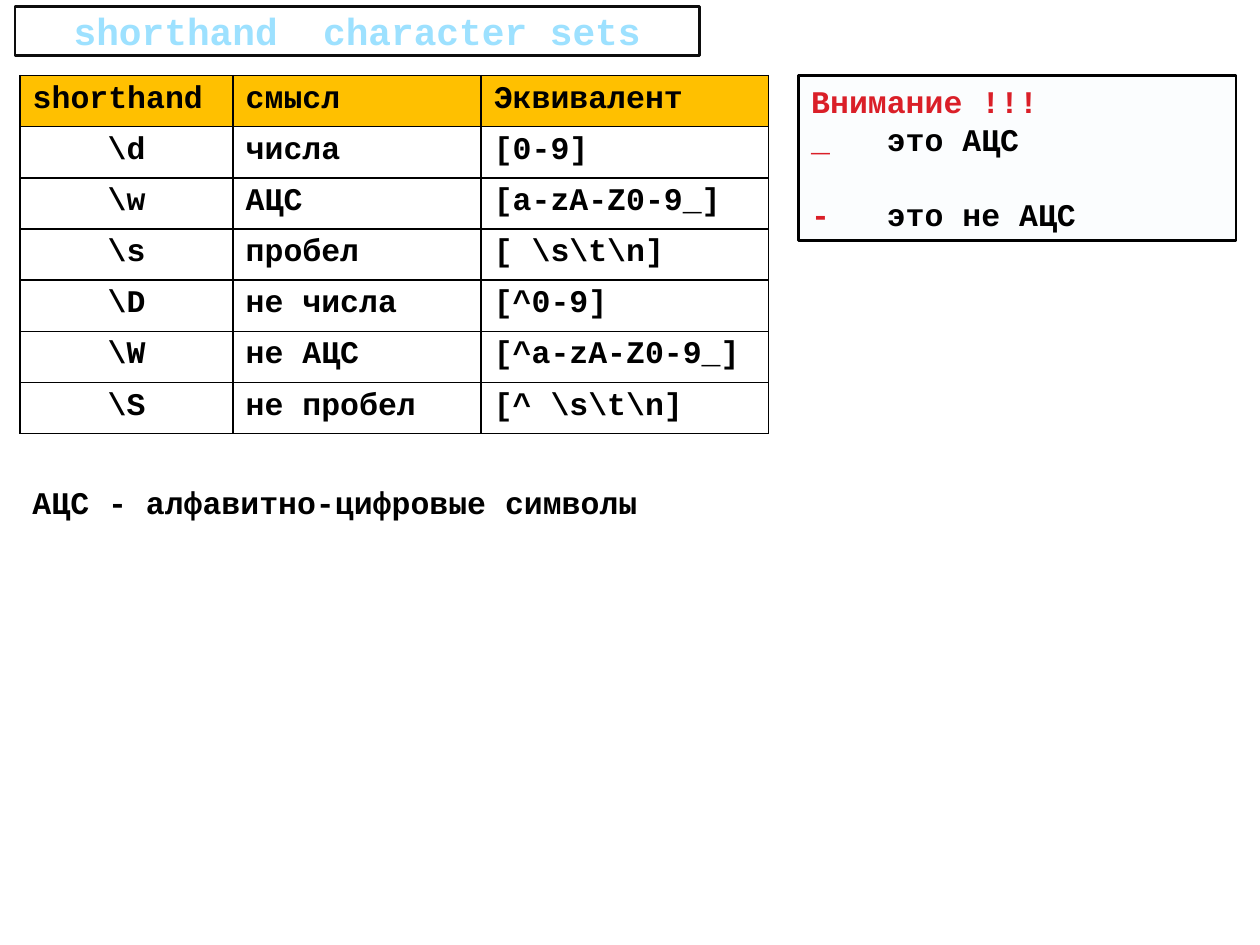
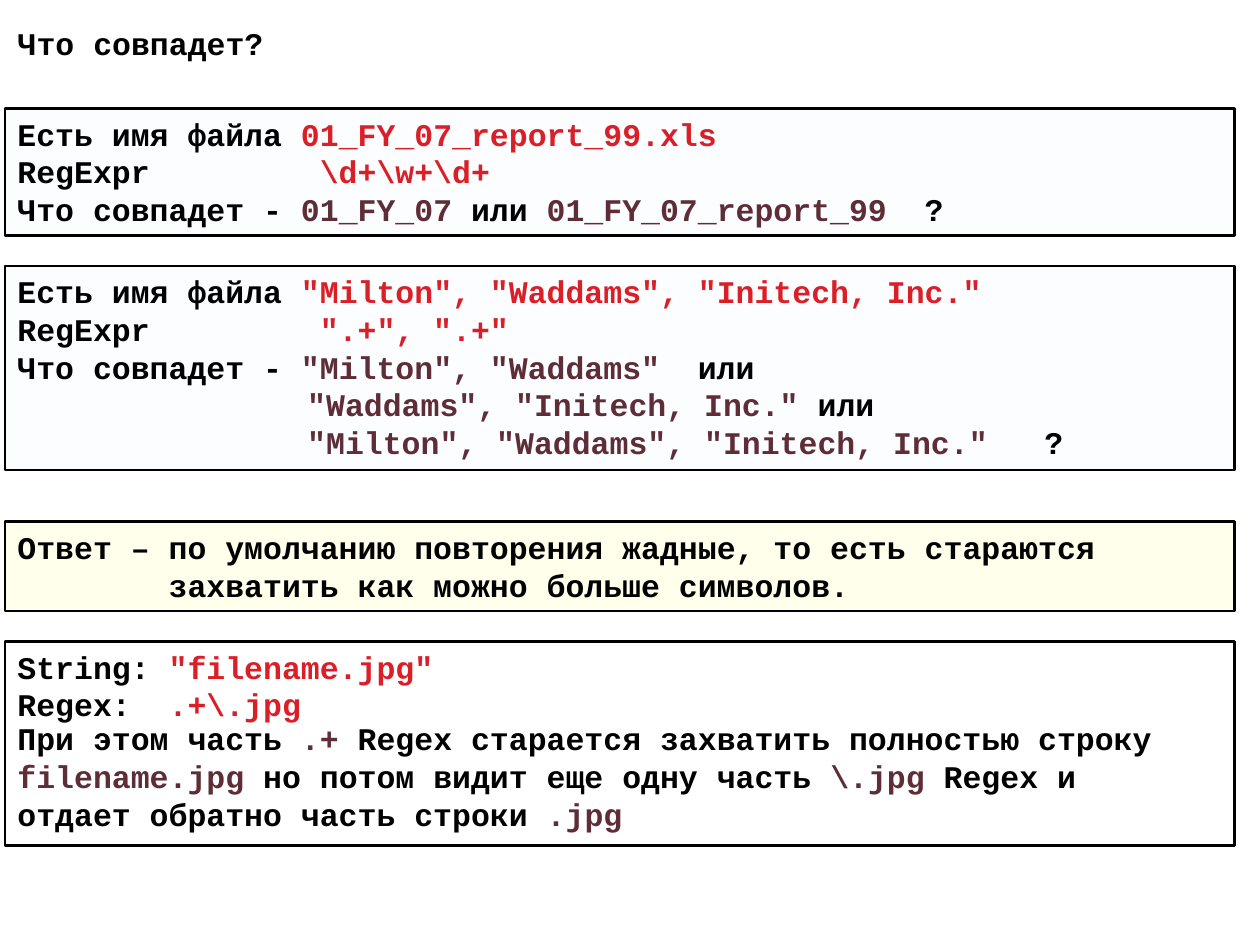
from pptx import Presentation
from pptx.dml.color import RGBColor
from pptx.enum.shapes import MSO_SHAPE as Shape
from pptx.enum.text import MSO_ANCHOR as Anchor, MSO_AUTO_SIZE as Auto, PP_ALIGN as Align
from pptx.oxml.ns import qn
from pptx.util import Pt
from lxml.etree import SubElement as Sub

FONT, SIZE = "Courier New", 18
CHAR = 0.6 * SIZE  # advance of one monospaced character
BLACK, RED, PLUM, SKY = "000000", "DA1F28", "5E2D37", "9DE1FF"
GOLD, WHITE, ICE, LEMON = "FFC000", "FFFFFF", "D3EEF5", "FFFF00"
TINT = 8  # opacity of the box tints, percent
HANG = 144 + 2 * CHAR  # start of the further candidate matches


def color(code):
    """Turn a hex string into a colour."""
    return RGBColor.from_string(code)


def paint(item, code, alpha=100):
    """Fill a shape or cell; no code means no fill."""
    if code is None:
        item.fill.background()
        return
    item.fill.solid()
    item.fill.fore_color.rgb = color(code)
    if alpha < 100:
        tone = item._element.spPr.find(".//" + qn("a:srgbClr"))
        Sub(tone, qn("a:alpha")).set("val", str(alpha * 1000))


def add_run(para, text, code=BLACK, size=SIZE):
    """Add one bold run and return it."""
    run = para.add_run()
    run.text = text
    font = run.font
    font.name, font.size, font.bold = FONT, Pt(size), True
    font.color.rgb = color(code)
    return run


def set_tabs(para, stops):
    """Set left tab stops, in points."""
    tabs = Sub(para._p.get_or_add_pPr(), qn("a:tabLst"))
    for stop in stops:
        tab = Sub(tabs, qn("a:tab"))
        tab.set("pos", str(int(Pt(stop))))
        tab.set("algn", "l")


def write(frame, lines):
    """Write lines, each a list of runs and a list of tab stops."""
    frame.auto_size = Auto.NONE
    frame.vertical_anchor = Anchor.TOP
    for num, (runs, stops) in enumerate(lines):
        para = frame.add_paragraph() if num else frame.paragraphs[0]
        para.alignment = Align.LEFT
        for run in runs:
            add_run(para, *run)
        if stops:
            set_tabs(para, stops)


def add_panel(slide, box, lines, tint=None):
    """Draw a framed panel with text; return its text frame."""
    panel = slide.shapes.add_shape(Shape.RECTANGLE, *map(Pt, box))
    panel.shadow.inherit = False
    paint(panel, tint, TINT)
    panel.line.color.rgb = color(BLACK)
    panel.line.width = Pt(1.5)
    write(panel.text_frame, lines)
    return panel.text_frame


def add_text(slide, box, lines, wrap=True):
    """Place plain text in a box."""
    frame = slide.shapes.add_textbox(*map(Pt, box)).text_frame
    frame.word_wrap = wrap
    write(frame, lines)


def put_title(slide, box):
    """Move the title placeholder to a box and return it."""
    title = slide.shapes.title
    title.left, title.top, title.width, title.height = map(Pt, box)
    title.text_frame.auto_size = Auto.NONE
    return title


def add_banner(slide, box):
    """Fill the framed, centred title."""
    title = put_title(slide, box)
    paint(title, WHITE)
    title.line.color.rgb = color("0D0D0D")
    title.line.width = Pt(1.5)
    title.text_frame.vertical_anchor = Anchor.MIDDLE
    para = title.text_frame.paragraphs[0]
    para.alignment = Align.CENTER
    size = 21.6
    add_run(para, "shorthand", SKY, size)
    gap = add_run(para, " ", SKY, size)
    gap._r.get_or_add_rPr().set("spc", str(int(size * 60)))  # one more character wide
    add_run(para, "сharacter sets", SKY, size)


def edge(cell):
    """Give a cell thin black borders."""
    props = cell._tc.get_or_add_tcPr()
    for side in ("lnL", "lnR", "lnT", "lnB"):
        line = Sub(props, qn("a:" + side))
        line.set("w", str(int(Pt(1))))
        Sub(Sub(line, qn("a:solidFill")), qn("a:srgbClr")).set("val", BLACK)


def add_grid(slide, box, widths, rows):
    """Build the table with a gold head and a centred first column."""
    grid = slide.shapes.add_table(len(rows), len(widths), *map(Pt, box)).table
    grid.first_row = grid.horz_banding = False
    for col, width in zip(grid.columns, widths):
        col.width = Pt(width)
    for i, row in enumerate(rows):
        grid.rows[i].height = Pt(box[3] / len(rows))
        for j, text in enumerate(row):
            cell = grid.cell(i, j)
            edge(cell)
            paint(cell, None if i else GOLD)
            para = cell.text_frame.paragraphs[0]
            para.alignment = Align.CENTER if i and not j else Align.LEFT
            add_run(para, text)


def sets_slide(slide):
    """Shorthand table, warning and legend."""
    add_banner(slide, (8.6, 3.6, 391, 28.1))
    add_grid(slide, (11.5, 43.2, 427.7, 204.6), (121.7, 141.8, 164.2), [
        ("shorthand", "смысл", "Эквивалент"),
        (r"\d", "числа", "[0-9]"),
        (r"\w", "АЦС", "[a-zA-Z0-9_]"),
        (r"\s", "пробел", r"[ \s\t\n]"),
        (r"\D", "не числа", "[^0-9]"),
        (r"\W", "не АЦС", "[^a-zA-Z0-9_]"),
        (r"\S", "не пробел", r"[^ \s\t\n]"),
    ])
    stops = [4 * CHAR]
    note = add_panel(slide, (456.5, 43.2, 249.8, 94.3), [
        ([("Внимание !!!", RED)], []),
        ([("_\t", RED), ("это АЦС",)], stops),
        ([("-\t", RED), ("это не АЦС",)], stops),
    ], ICE)
    note.paragraphs[2].space_before = Pt(21.4)
    add_text(slide, (11.5, 272.2, 362.2, 28.8),
             [([("АЦС - алфавитно-цифровые символы",)], [])], wrap=False)


def quiz_panel(slide, box, name, regex, *answers):
    """Ask what a regex matches in a name; answers are lines of runs."""
    start = [16 * CHAR]
    add_panel(slide, box, [
        ([("Есть имя файла ",), (name, RED)], []),
        ([("RegExpr\t",), (regex, RED)], start),
        *answers,
    ], ICE)


def match_slide(slide):
    """Two questions, the answer and an example."""
    left, width = 2.9, 702.7
    title = put_title(slide, (left, 10.1, 155.5, 28.8))
    title.text_frame.word_wrap = False
    write(title.text_frame, [([("Что совпадет?",)], [])])

    ask = ("Что совпадет - ",)
    quiz_panel(slide, (left, 61.9, width, 72.7), "01_FY_07_report_99.xls", r"\d+\w+\d+",
               ([ask, ("01_FY_07", PLUM), (" или ",),
                 ("01_FY_07_report_99", PLUM), ("\t?",)], [48 * CHAR]))

    first, last = '"Milton", "Waddams"', '"Initech, Inc."'
    whole = f"{first}, {last}"
    quiz_panel(slide, (left, 151.9, width, 116.6), whole, '".+", ".+"',
               ([ask, (first, PLUM), ("\tили",)], [36 * CHAR]),
               ([("\t" + f'"Waddams", {last}', PLUM), (" или",)], [HANG]),
               ([("\t" + whole, PLUM), ("\t?",)], [HANG, HANG + 39 * CHAR]))

    indent = [8 * CHAR]
    add_panel(slide, (left, 298.1, width, 51.1), [
        ([("Ответ – по умолчанию повторения жадные, то есть стараются",)], []),
        ([("\tзахватить как можно больше символов.",)], indent),
    ], LEMON)
    add_panel(slide, (left, 366.5, width, 116.6), [
        ([("String: ",), ('"filename.jpg"', RED)], []),
        ([("Regex:\t",), (r".+\.jpg", RED)], indent),
    ])
    add_text(slide, (left, 407.5, width, 72.7), [
        ([("При этом часть ",), (".+ ", PLUM),
          ("Regex старается захватить полностью строку ",), ("filename.jpg", PLUM),
          (" но потом видит еще одну часть ",), (r"\.jpg ", PLUM), ("Regex и",)], []),
        ([("отдает обратно часть строки ",), (".jpg", PLUM)], []),
    ])


deck = Presentation()
deck.slide_width, deck.slide_height = Pt(720), Pt(540)
for build in (sets_slide, match_slide):
    build(deck.slides.add_slide(deck.slide_layouts[5]))
deck.save("out.pptx")
